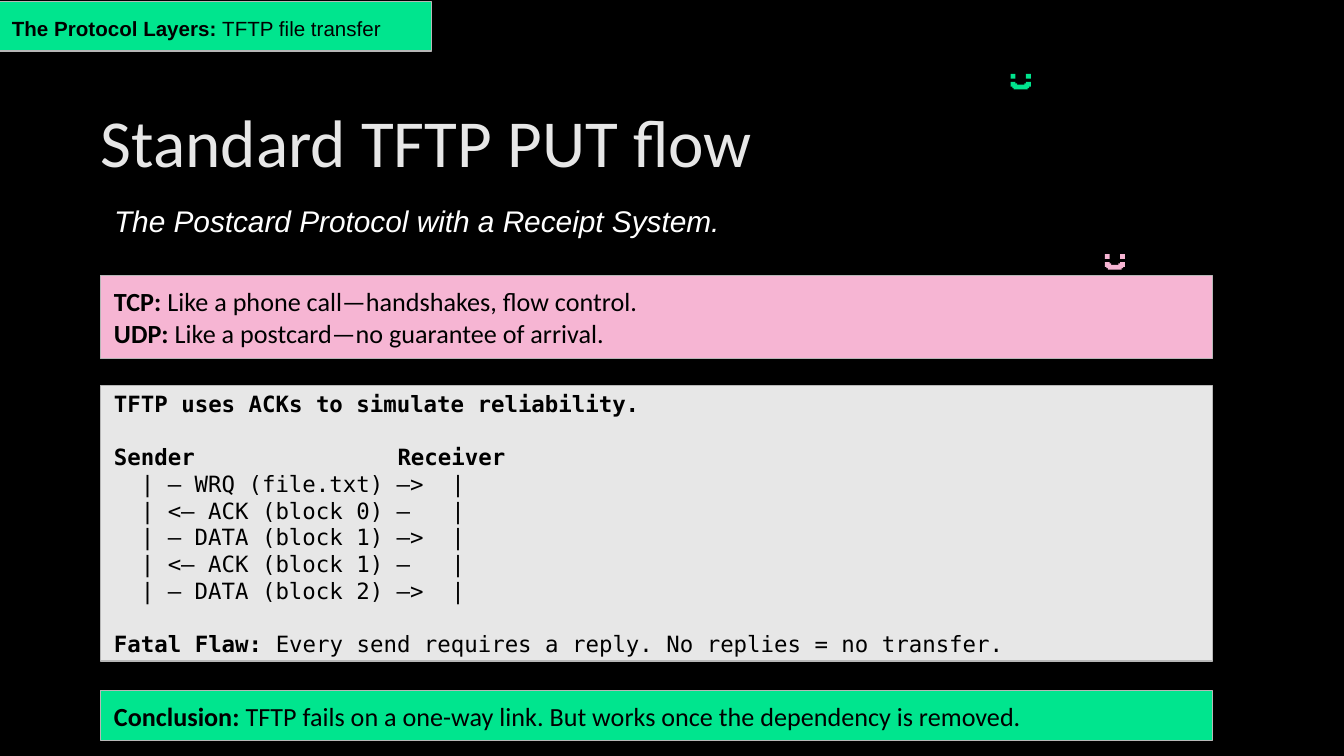
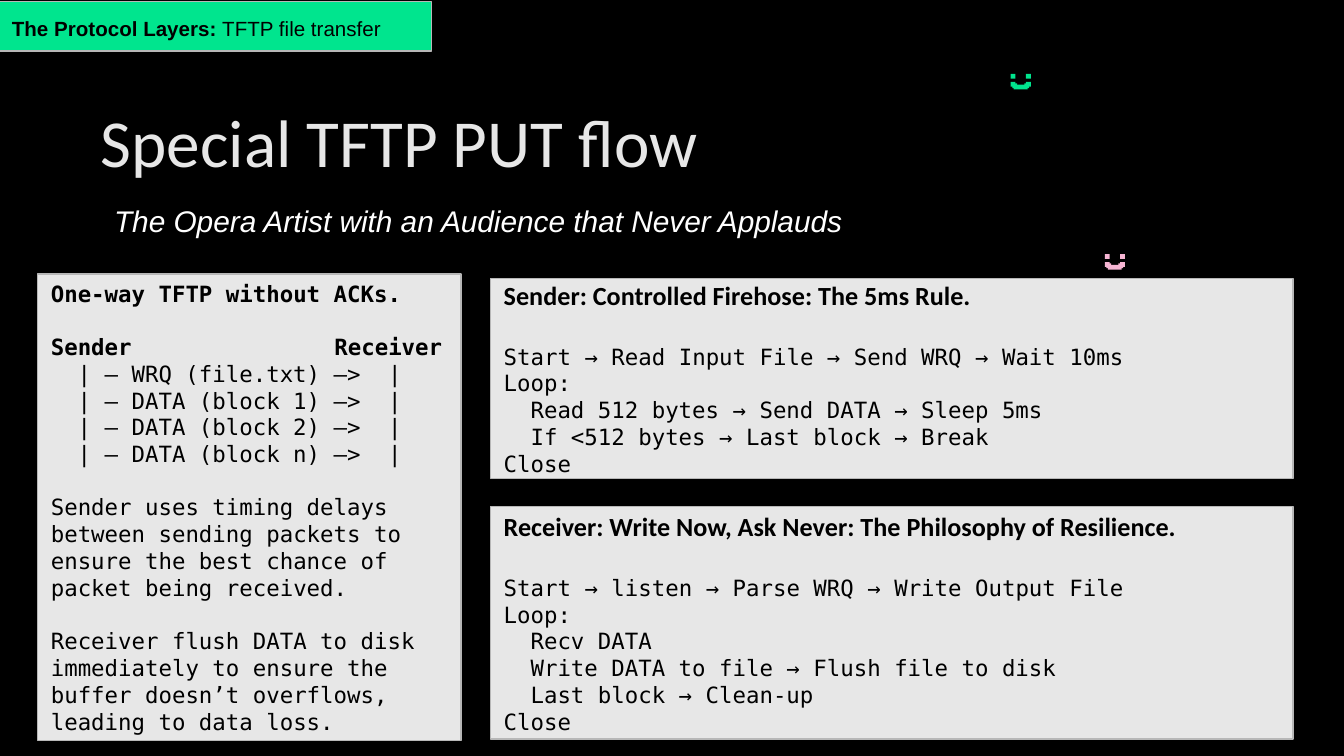
from dataclasses import dataclass

from lxml.etree import SubElement
from pptx import Presentation
from pptx.dml.color import RGBColor
from pptx.enum.shapes import MSO_SHAPE
from pptx.enum.text import MSO_ANCHOR, PP_ALIGN
from pptx.oxml.ns import qn
from pptx.util import Inches, Pt

COLS, ROWS = 100, 56.25
CELL = 0.1  # inches per grid cell
BLACK, WHITE, GREY, EDGE = "000000", "FFFFFF", "E7E7E7", "B7B7B7"
GREEN, PINK = "00E58E", "F6B5D3"
SANS, BODY, MONO = "Arial", "Calibri", "DejaVu Sans Mono"
MONO_LINE = 14  # points taken by one line of 12 pt code
HEAD_GAP = 17
TAB_STOPS = (0.2, 2.11, 2.51)  # code indent, receiver heading, receiver lifeline


@dataclass
class Row:
    """One paragraph: a bold lead followed by plain text."""
    text: str = ""
    lead: str = ""
    font: str = MONO
    size: float = 12
    color: str = BLACK
    italic: bool = False
    before: float = 0
    after: float = 0
    spacing: float = 1.0


def cells(n):
    return Inches(n * CELL)


def rgb(value):
    return RGBColor.from_string(value)


class Deck:
    def __init__(self):
        self.prs = Presentation()
        self.prs.slide_width, self.prs.slide_height = cells(COLS), cells(ROWS)
        fill = self.prs.slide_master.background.fill
        fill.solid()
        fill.fore_color.rgb = rgb(BLACK)
        self.s = None

    def new_slide(self, title, subtitle, subtitle_width):
        self.s = self.prs.slides.add_slide(self.prs.slide_layouts[6])
        self.face(75.2, 5.5, GREEN)
        self.face(82.2, 18.9, PINK)
        self.label(7.5, 8.6, 85, 7, 0,
                   Row(title, font=BODY, size=36, color=GREY, spacing=0.8))
        self.label(7.5, 14.1, subtitle_width, 3.7, 1,
                   Row(subtitle, font=SANS, size=16, color=WHITE, italic=True))
        self.panel(-0.1, 0.1, 32.2, 3.7, GREEN, [
            Row(" TFTP file transfer", "The Protocol Layers:", SANS, 11,
                before=10, after=12, spacing=1.15)])

    def block(self, shapes, x, y, w, h, fill):
        sp = shapes.add_shape(MSO_SHAPE.RECTANGLE, cells(x), cells(y), cells(w), cells(h))
        sp.shadow.inherit = False
        sp.fill.solid()
        sp.fill.fore_color.rgb = rgb(fill)
        sp.line.fill.background()
        return sp

    def face(self, x, y, color):
        """Pixel smile: eyes and mouth corners mirrored about a central bar."""
        width, pixel = 1.5, 0.36
        shapes = self.s.shapes.add_group_shape().shapes
        for dx, dy in ((0, 0), (0, 0.6), (0.12, 0.7)):
            for left in (dx, width - pixel - dx):
                self.block(shapes, x + left, y + dy, pixel, pixel, color)
        self.block(shapes, x + 0.23, y + 0.8, width - 0.46, pixel, color)

    def label(self, x, y, w, h, inset, row):
        sp = self.s.shapes.add_textbox(cells(x), cells(y), cells(w), cells(h))
        self.fill_text(sp.text_frame, [row], inset)

    def panel(self, x, y, w, h, fill, rows):
        sp = self.block(self.s.shapes, x, y, w, h, fill)
        sp.line.color.rgb = rgb(EDGE)
        sp.line.width = Pt(0.75)
        sp.text_frame.vertical_anchor = MSO_ANCHOR.MIDDLE
        self.fill_text(sp.text_frame, rows, 1)

    def fill_text(self, tf, rows, inset):
        tf.word_wrap = True
        tf.margin_left = tf.margin_right = tf.margin_top = tf.margin_bottom = cells(inset)
        for i, row in enumerate(rows):
            p = tf.add_paragraph() if i else tf.paragraphs[0]
            p.alignment = PP_ALIGN.LEFT
            p.line_spacing = row.spacing
            p.space_before, p.space_after = Pt(row.before), Pt(row.after)
            if "\t" in row.lead + row.text:
                self.tab_stops(p)
            for text, bold in ((row.lead, True), (row.text, False)):
                if text:
                    r = p.add_run()
                    r.text = text
                    r.font.name, r.font.size = row.font, Pt(row.size)
                    r.font.bold, r.font.italic = bold, row.italic
                    r.font.color.rgb = rgb(row.color)

    def tab_stops(self, p):
        tabs = SubElement(p._p.get_or_add_pPr(), qn("a:tabLst"))
        for stop in TAB_STOPS:
            SubElement(tabs, qn("a:tab"), pos=str(Inches(stop)), algn="l")


def exchange(heading, messages):
    """Rows of a sender and receiver diagram with two lifelines."""
    return [Row(lead=heading),
            Row(lead="Sender\tReceiver", before=MONO_LINE),
            *(Row(f"\t| {message}\t|") for message in messages)]


def procedure(heading, first, *steps):
    return [Row(lead=heading, font=BODY, size=14),
            Row(first, before=HEAD_GAP),
            *(Row(step) for step in steps)]


def standard_flow(deck):
    deck.new_slide("Standard TFTP PUT flow",
                   "The Postcard Protocol with a Receipt System.", 60.1)
    x, w = 7.5, 82.7
    deck.panel(x, 20.5, w, 6.2, PINK, [
        Row("Like a phone call—handshakes, flow control.", "TCP: ", BODY, 14),
        Row("Like a postcard—no guarantee of arrival.", "UDP: ", BODY, 14)])
    deck.panel(x, 28.7, w, 20.5, GREY, [
        *exchange("TFTP uses ACKs to simulate reliability.", [
            "— WRQ (file.txt) —>",
            "<— ACK (block 0) —",
            "— DATA (block 1) —>",
            "<— ACK (block 1) —",
            "— DATA (block 2) —>"]),
        Row(" Every send requires a reply. No replies = no transfer.",
            "Fatal Flaw:", before=MONO_LINE)])
    deck.panel(x, 51.4, w, 3.7, GREEN, [
        Row("TFTP fails on a one-way link. But works once the dependency is removed.",
            "Conclusion: ", BODY, 14)])


def special_flow(deck):
    deck.new_slide("Special TFTP PUT flow",
                   "The Opera Artist with an Audience that Never Applauds", 62.8)
    x, w = 36.5, 59.7
    deck.panel(x, 20.7, w, 14.9, GREY, procedure(
        "Sender: Controlled Firehose: The 5ms Rule.",
        "Start → Read Input File → Send WRQ → Wait 10ms",
        "Loop:",
        "\tRead 512 bytes → Send DATA → Sleep 5ms",
        "\tIf <512 bytes → Last block → Break",
        "Close"))
    deck.panel(x, 37.7, w, 17.3, GREY, procedure(
        "Receiver: Write Now, Ask Never: The Philosophy of Resilience.",
        "Start → listen → Parse WRQ → Write Output File",
        "Loop:",
        "\tRecv DATA",
        "\tWrite DATA to file → Flush file to disk",
        "\tLast block → Clean-up",
        "Close"))
    sent = ["WRQ (file.txt)", *(f"DATA (block {n})" for n in "12n")]
    deck.panel(2.8, 20.4, 31.5, 34.7, GREY, [
        *exchange("One-way TFTP without ACKs.", [f"— {item} —>" for item in sent]),
        Row("Sender uses timing delays between sending packets to ensure "
            "the best chance of packet being received.", before=MONO_LINE),
        Row("Receiver flush DATA to disk immediately to ensure the buffer "
            "doesn’t overflows, leading to data loss.", before=MONO_LINE)])


def main():
    deck = Deck()
    standard_flow(deck)
    special_flow(deck)
    deck.prs.save("out.pptx")


if __name__ == "__main__":
    main()
